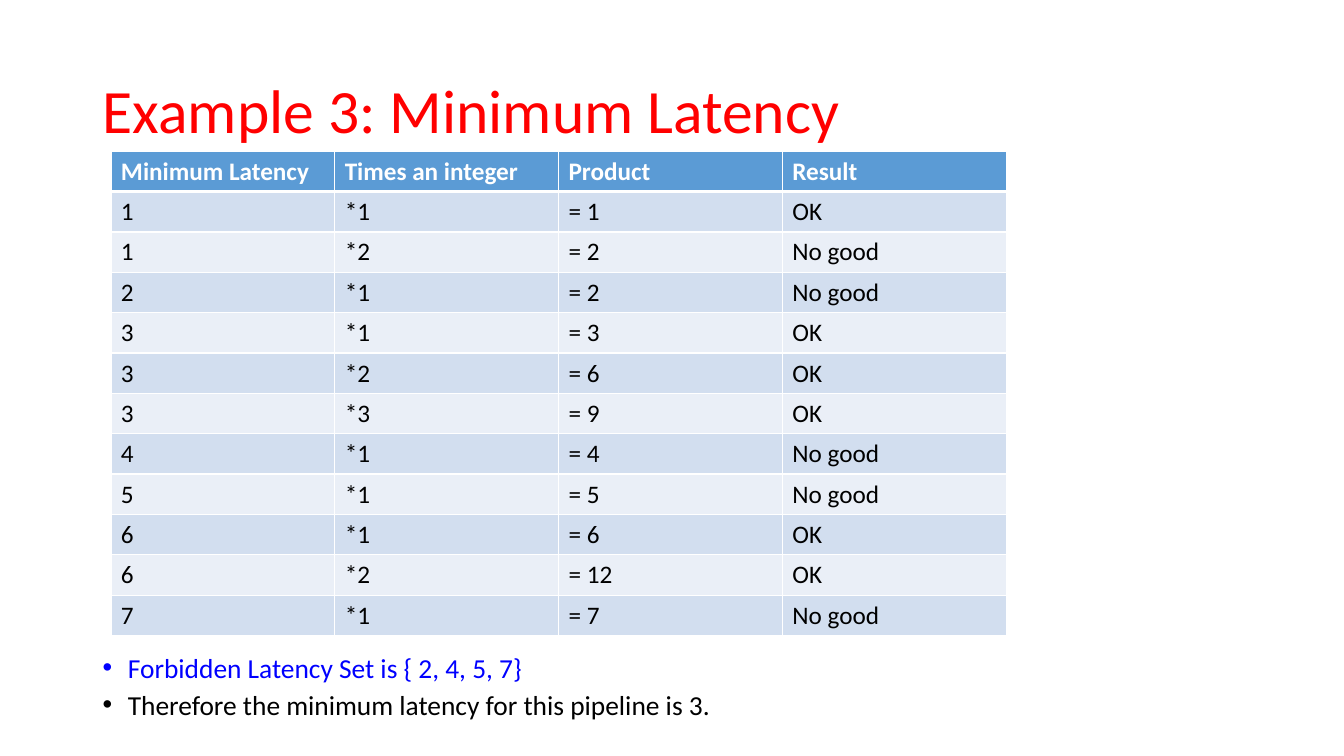
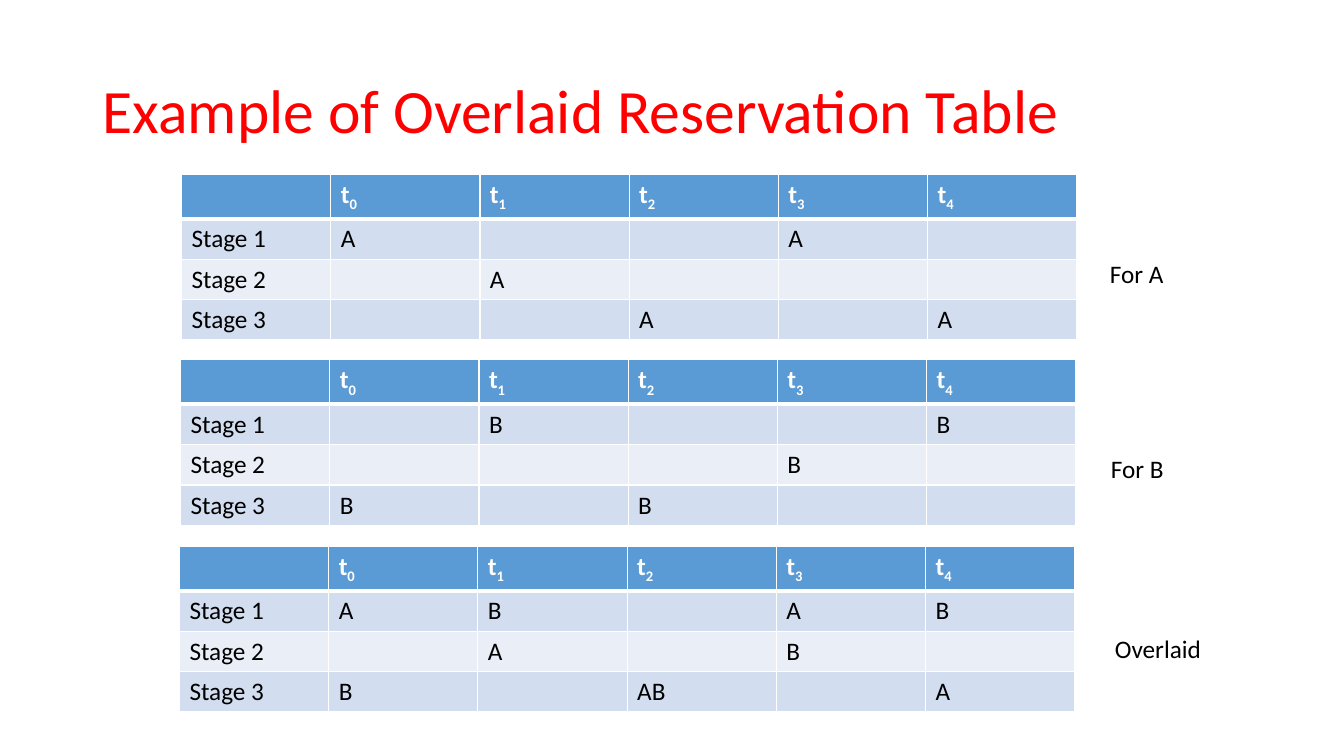
from lxml import etree
from pptx import Presentation, util as u
from pptx.dml.color import RGBColor
from pptx.enum import text as t
from pptx.oxml import ns

RED, BLUE, BLACK, WHITE = "FF0000", "0000FF", "000000", "FFFFFF"
HEADER, BANDS = "5B9BD5", ("D2DEEF", "EAEFF7")
FONT = "Calibri"
WIDTH, HEIGHT = 13.33, 7.5
MARGIN = 0.92
CONTENT_WIDTH = WIDTH - 2 * MARGIN
ROW_HEIGHT = 0.4

LATENCY_TITLE = "Example 3: Minimum Latency"
LATENCY_ROWS = [
    ("Minimum Latency", "Times an integer", "Product", "Result"),
    ("1", "*1", "= 1", "OK"),
    ("1", "*2", "= 2", "No good"),
    ("2", "*1", "= 2", "No good"),
    ("3", "*1", "= 3", "OK"),
    ("3", "*2", "= 6", "OK"),
    ("3", "*3", "= 9", "OK"),
    ("4", "*1", "= 4", "No good"),
    ("5", "*1", "= 5", "No good"),
    ("6", "*1", "= 6", "OK"),
    ("6", "*2", "= 12", "OK"),
    ("7", "*1", "= 7", "No good"),
]
CONCLUSIONS = [
    ("Forbidden Latency Set is { 2, 4, 5, 7}", BLUE),
    ("Therefore the minimum latency for this pipeline is 3.", BLACK),
]

OVERLAID_TITLE = "Example of Overlaid Reservation Table"
TIMES = ("", "t_0", "t_1", "t_2", "t_3", "t_4")
RESERVATIONS = [
    {"label": "For A", "label_at": (10.91, 2.51, 0.74), "table_at": (1.8, 1.73),
     "stages": [("A", "", "", "A", ""), ("", "A", "", "", ""), ("", "", "A", "", "A")]},
    {"label": "For B", "label_at": (10.92, 4.45, 0.73), "table_at": (1.79, 3.57),
     "stages": [("", "B", "", "", "B"), ("", "", "", "B", ""), ("B", "", "B", "", "")]},
    {"label": "Overlaid", "label_at": (10.96, 6.23, 1.06), "table_at": (1.78, 5.42),
     "stages": [("A", "B", "", "A", "B"), ("", "A", "", "B", ""), ("B", "", "AB", "", "A")]},
]


def color(value):
    return RGBColor.from_string(value)


def write(paragraph, content, size=18, fill=BLACK, bold=False, spacing=None, after=None):
    if spacing:
        paragraph.line_spacing = spacing
    if after:
        paragraph.space_after = u.Pt(after)
    for index, part in enumerate(content.split("_")):
        if not part:
            continue
        run = paragraph.add_run()
        run.text = part
        run.font.name, run.font.size, run.font.bold = FONT, u.Pt(size), bold
        run.font.color.rgb = color(fill)
        if index:
            run._r.get_or_add_rPr().set("baseline", "-25000")


def add_frame(slide, left, top, width, height, wrap=True):
    box = slide.shapes.add_textbox(*map(u.Inches, (left, top, width, height)))
    box.text_frame.word_wrap = wrap
    return box.text_frame


def add_bullet(paragraph):
    properties = paragraph._p.get_or_add_pPr()
    properties.set("marL", str(u.Inches(0.25)))
    properties.set("indent", str(-u.Inches(0.25)))
    etree.SubElement(properties, ns.qn("a:buFont")).set("typeface", "Arial")
    etree.SubElement(properties, ns.qn("a:buChar")).set("char", "•")


def add_borders(cell, row):
    properties = cell._tc.get_or_add_tcPr()
    widths = {"L": 1, "R": 1, "T": 3 if row == 1 else 1, "B": 3 if row == 0 else 1}
    for side, width in widths.items():
        line = etree.SubElement(properties, ns.qn(f"a:ln{side}"), w=str(u.Pt(width)))
        fill = etree.SubElement(line, ns.qn("a:solidFill"))
        etree.SubElement(fill, ns.qn("a:srgbClr"), val=WHITE)


def add_grid(slide, rows, left, top, column_width):
    columns = len(rows[0])
    table = slide.shapes.add_table(
        len(rows), columns, u.Inches(left), u.Inches(top),
        u.Inches(column_width * columns), u.Inches(ROW_HEIGHT * len(rows))).table
    for column in table.columns:
        column.width = u.Inches(column_width)
    for row, values in enumerate(rows):
        for column, value in enumerate(values):
            cell = table.cell(row, column)
            add_borders(cell, row)
            cell.fill.solid()
            cell.fill.fore_color.rgb = color(BANDS[(row - 1) % 2] if row else HEADER)
            write(cell.text_frame.paragraphs[0], value,
                  fill=BLACK if row else WHITE, bold=row == 0)


def add_slide(presentation, title):
    slide = presentation.slides.add_slide(presentation.slide_layouts[6])
    frame = add_frame(slide, MARGIN, 0.4, CONTENT_WIDTH, 1.45)
    frame.vertical_anchor = t.MSO_ANCHOR.MIDDLE
    write(frame.paragraphs[0], title, size=44, fill=RED, spacing=0.9)
    return slide


def build_latency(presentation):
    slide = add_slide(presentation, LATENCY_TITLE)
    frame = add_frame(slide, MARGIN, 6.5, CONTENT_WIDTH, 0.86)
    for index, (content, fill) in enumerate(CONCLUSIONS):
        paragraph = frame.add_paragraph() if index else frame.paragraphs[0]
        write(paragraph, content, size=19.6, fill=fill, spacing=0.7, after=10)
        add_bullet(paragraph)
    add_grid(slide, LATENCY_ROWS, 1.1, 1.5, 2.22)


def build_overlaid(presentation):
    slide = add_slide(presentation, OVERLAID_TITLE)
    for reservation in RESERVATIONS:
        stages = [(f"Stage {number}", *marks)
                  for number, marks in enumerate(reservation["stages"], 1)]
        add_grid(slide, [TIMES, *stages], *reservation["table_at"], 1.48)
        frame = add_frame(slide, *reservation["label_at"], 0.4, wrap=False)
        write(frame.paragraphs[0], reservation["label"])


def main():
    presentation = Presentation()
    presentation.slide_width, presentation.slide_height = u.Inches(WIDTH), u.Inches(HEIGHT)
    build_latency(presentation)
    build_overlaid(presentation)
    presentation.save("out.pptx")


if __name__ == "__main__":
    main()
